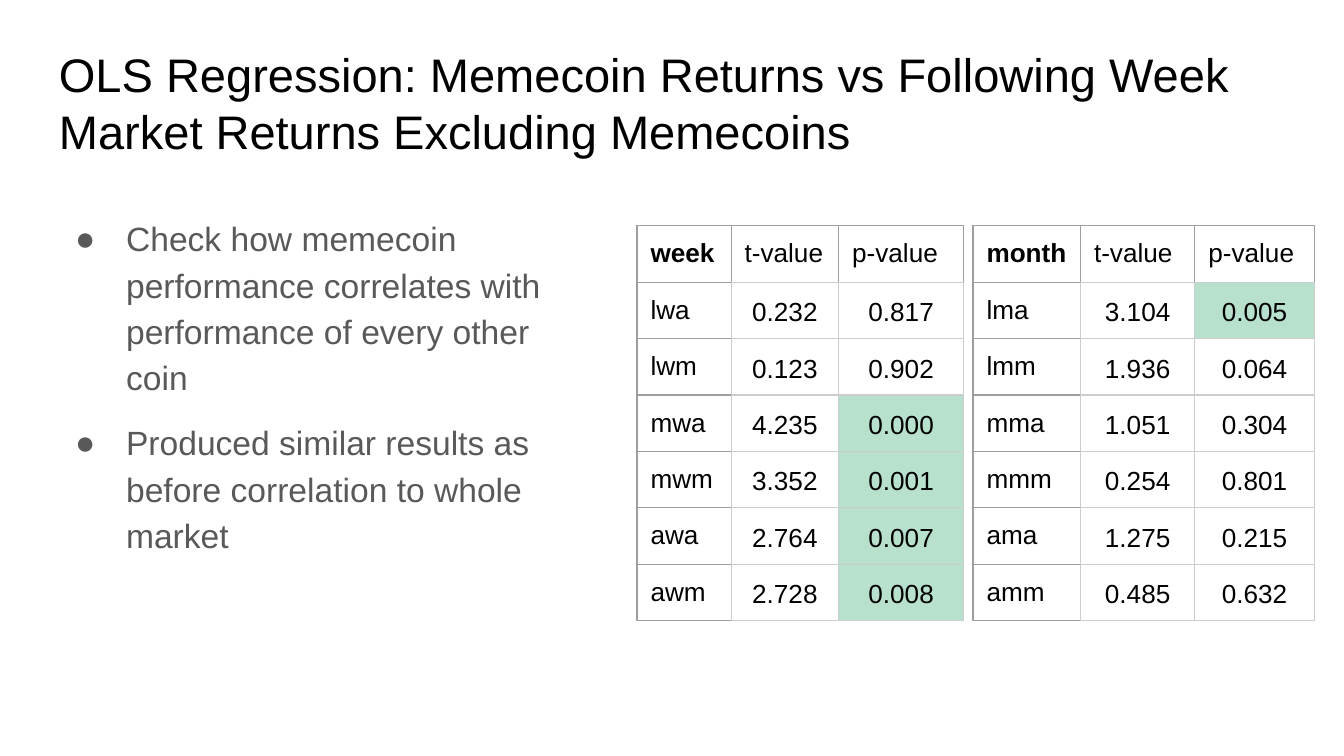
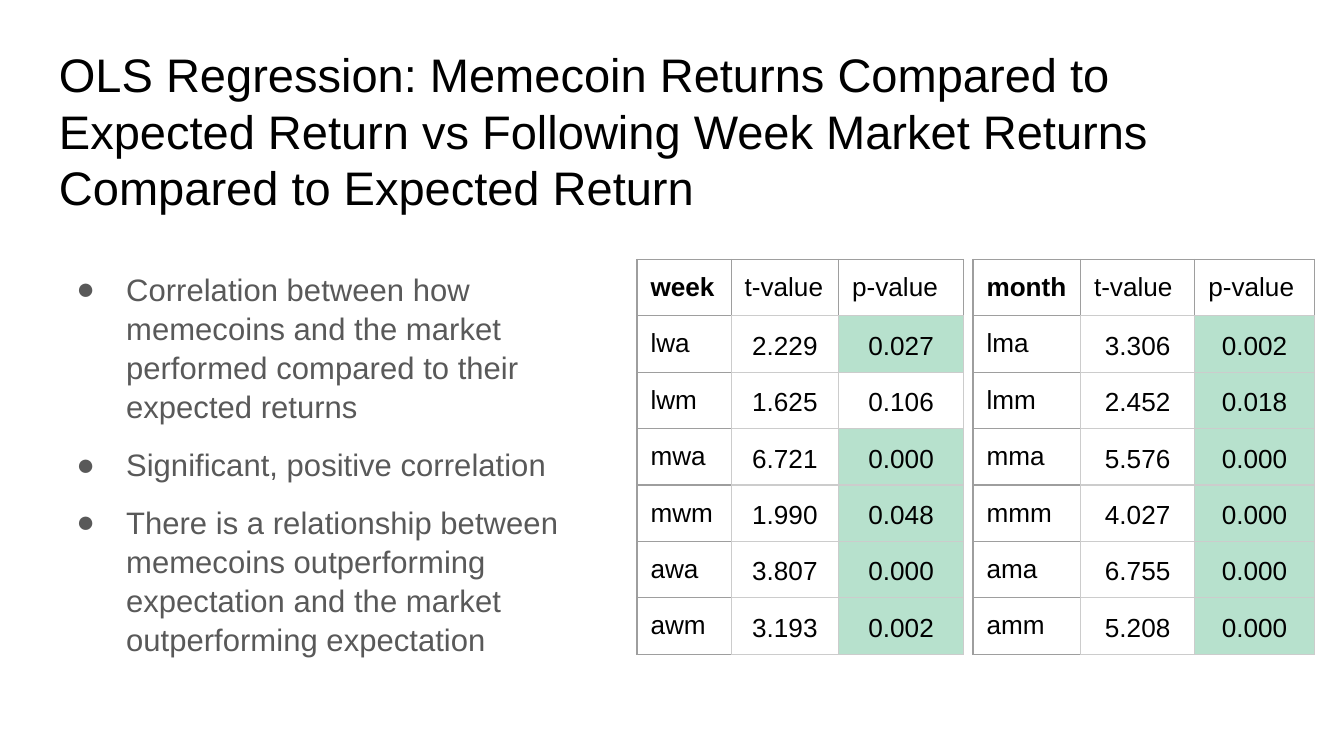
"""Build two slides of regression results, each with bullets and two tables."""
import pptx
import pptx.dml.color
import pptx.enum.text
import pptx.oxml.ns
import pptx.util
from lxml import etree

Inches, Pt = pptx.util.Inches, pptx.util.Pt
RGBColor = pptx.dml.color.RGBColor
BLACK = RGBColor(0x00, 0x00, 0x00)
GREY = RGBColor(0x59, 0x59, 0x59)
DARK = RGBColor(0x9E, 0x9E, 0x9E)
LIGHT = RGBColor(0xCC, 0xCC, 0xCC)
GREEN = RGBColor(0xB7, 0xE1, 0xCD)
WHITE = RGBColor(0xFF, 0xFF, 0xFF)

FONT = "Arial"
WIDE = 10
HIGH = WIDE * 9 / 16
LEFT = 0.34
PAD = 0.1
ROW = 0.42
TALL = 3.03
LIMIT = 0.05
HEADS = ("t-value", "p-value")

GRIDS = {
    "month": dict(left=7.24, cols=(0.8, 0.85, 0.89),
                  names=("lma", "lmm", "mma", "mmm", "ama", "amm")),
    "week": dict(left=4.74, cols=(0.7, 0.8, 0.93),
                 names=("lwa", "lwm", "mwa", "mwm", "awa", "awm")),
}

SLIDES = [
    dict(
        title="OLS Regression: Memecoin Returns vs Following Week "
              "Market Returns Excluding Memecoins",
        points=["Check how memecoin performance correlates with "
                "performance of every other coin",
                "Produced similar results as before correlation to whole market"],
        body=dict(top=1.48, high=3.93, size=18, lead=1.15, hang=0.38),
        top=1.68,
        month=[("3.104", "0.005"), ("1.936", "0.064"), ("1.051", "0.304"),
               ("0.254", "0.801"), ("1.275", "0.215"), ("0.485", "0.632")],
        week=[("0.232", "0.817"), ("0.123", "0.902"), ("4.235", "0.000"),
              ("3.352", "0.001"), ("2.764", "0.007"), ("2.728", "0.008")],
    ),
    dict(
        title="OLS Regression: Memecoin Returns Compared to Expected Return vs "
              "Following Week Market Returns Compared to Expected Return",
        points=["Correlation between how memecoins and the market performed "
                "compared to their expected returns",
                "Significant, positive correlation",
                "There is a relationship between memecoins outperforming "
                "expectation and the market outperforming expectation"],
        body=dict(top=1.9, high=3.16, size=16.65, lead=1.05, hang=0.37),
        top=1.93,
        month=[("3.306", "0.002"), ("2.452", "0.018"), ("5.576", "0.000"),
               ("4.027", "0.000"), ("6.755", "0.000"), ("5.208", "0.000")],
        week=[("2.229", "0.027"), ("1.625", "0.106"), ("6.721", "0.000"),
              ("1.990", "0.048"), ("3.807", "0.000"), ("3.193", "0.002")],
    ),
]


def node(parent, tag, **attrs):
    return etree.SubElement(parent, pptx.oxml.ns.qn(tag), attrs)


def style(para, size, color, bold=False):
    font = para.font
    font.name, font.size, font.bold = FONT, Pt(size), bold
    font.color.rgb = color


def pad(part, side, top, base):
    part.margin_left = part.margin_right = Inches(side)
    part.margin_top, part.margin_bottom = Inches(top), Inches(base)


def add_text(slide, lines, top, wide, high, size, color):
    box = slide.shapes.add_textbox(
        Inches(LEFT), Inches(top), Inches(wide), Inches(high))
    frame = box.text_frame
    frame.word_wrap = True
    pad(frame, PAD, PAD, PAD)
    frame.text = "\n".join(lines)
    for para in frame.paragraphs:
        style(para, size, color)
    return frame.paragraphs


def add_points(slide, lines, top, high, size, lead, hang):
    paras = add_text(slide, lines, top, 4.16, high, size, GREY)
    for i, para in enumerate(paras):
        para.line_spacing = lead
        para.space_before = Pt(10 if i else 0)
        props = para._p.get_or_add_pPr()
        props.set("marL", str(Inches(0.5)))
        props.set("indent", str(-Inches(hang)))
        tint = node(props, "a:buClr")
        node(tint, "a:srgbClr", val=str(GREY))
        node(props, "a:buFont", typeface=FONT)
        node(props, "a:buChar", char="●")


def edge(cell, colors):
    props = cell._tc.get_or_add_tcPr()
    for i, (side, color) in enumerate(zip("LRTB", colors)):
        line = node(props, "a:ln" + side, w=str(Pt(0.75)))
        node(node(line, "a:solidFill"), "a:srgbClr", val=str(color))
        props.insert(i, line)


def fill_cell(cell, text, row, col):
    cell.text = text
    para = cell.text_frame.paragraphs[0]
    style(para, 14, BLACK, bold=row == col == 0)
    cell.fill.background()
    if row and col:
        pad(cell, 0.03, 0.02, 0.02)
        cell.vertical_anchor = pptx.enum.text.MSO_ANCHOR.MIDDLE
        para.alignment = pptx.enum.text.PP_ALIGN.CENTER
        para.line_spacing = 1.15
        if col == 2 and float(text) < LIMIT:
            cell.fill.solid()
            cell.fill.fore_color.rgb = GREEN
        edge(cell, [LIGHT] * 4)
    else:
        pad(cell, PAD, PAD, 0.08)
        edge(cell, (DARK, LIGHT if row else DARK, DARK, LIGHT if col else DARK))


def add_grid(slide, kind, top, values, left, cols, names):
    rows = [(kind, *HEADS)] + [(n, *v) for n, v in zip(names, values)]
    frame = slide.shapes.add_table(
        len(rows), len(cols), Inches(left), Inches(top),
        Inches(sum(cols)), Inches(TALL))
    table = frame.table
    table.first_row = table.horz_banding = False
    for col, wide in zip(table.columns, cols):
        col.width = Inches(wide)
    for r, row in enumerate(rows):
        table.rows[r].height = Inches(ROW)
        for c, text in enumerate(row):
            fill_cell(table.cell(r, c), text, r, c)
    frame.height = Inches(TALL)


def main():
    deck = pptx.Presentation()
    deck.slide_width, deck.slide_height = Inches(WIDE), Inches(HIGH)
    for data in SLIDES:
        slide = deck.slides.add_slide(deck.slide_layouts[6])
        slide.background.fill.solid()
        slide.background.fill.fore_color.rgb = WHITE
        add_text(slide, [data["title"]], 0.24, WIDE - 2 * LEFT, 0.63, 25.2, BLACK)
        add_points(slide, data["points"], **data["body"])
        for kind, grid in GRIDS.items():
            add_grid(slide, kind, data["top"], data[kind], **grid)
    deck.save("out.pptx")


if __name__ == "__main__":
    main()
